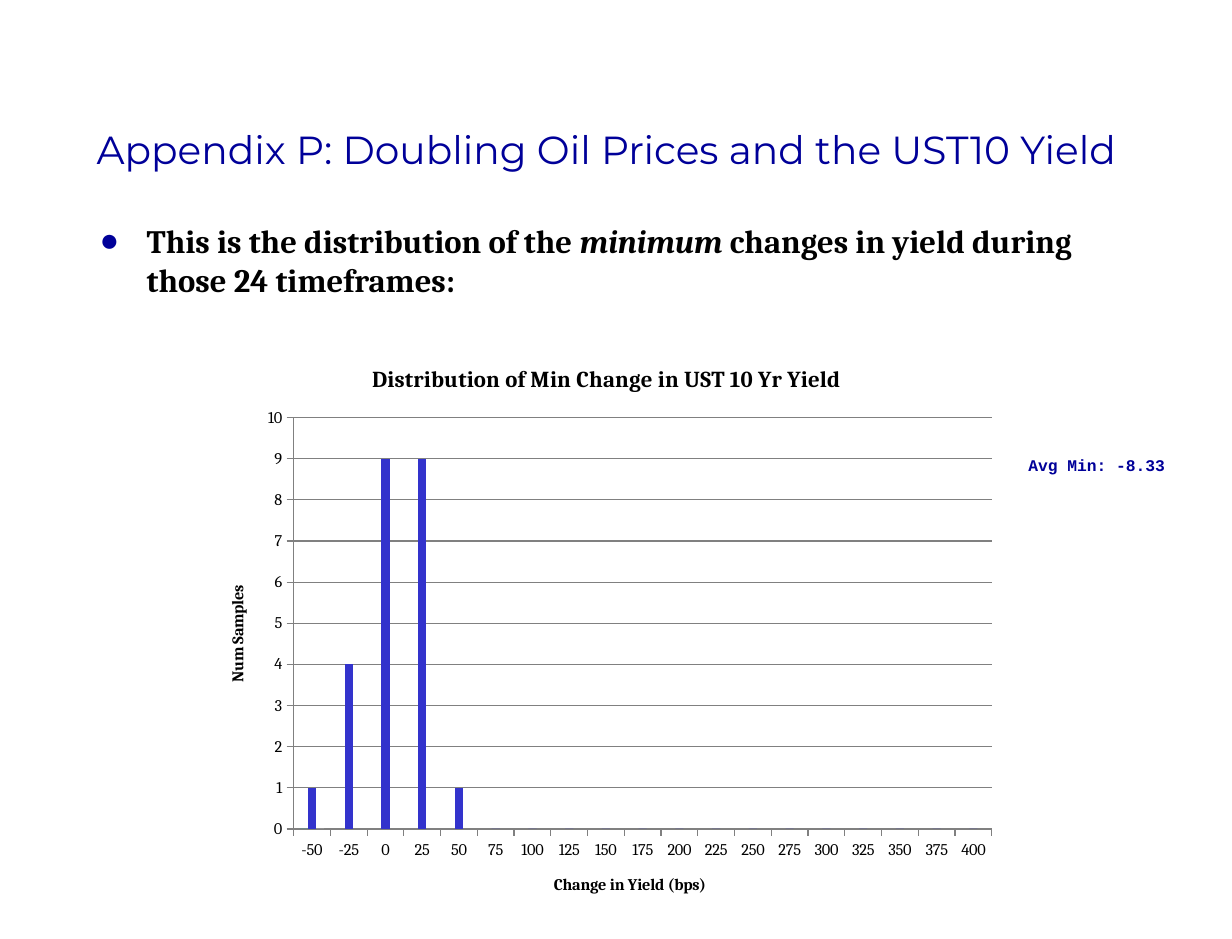
from lxml.etree import SubElement
from pptx import Presentation
from pptx.chart.data import CategoryChartData
from pptx.dml.color import RGBColor
from pptx.enum.chart import XL_CHART_TYPE as ChartType, XL_TICK_MARK as TickMark
from pptx.enum.text import MSO_ANCHOR as Anchor, MSO_AUTO_SIZE as AutoSize, PP_ALIGN as Align
from pptx.oxml import parse_xml
from pptx.oxml.ns import nsdecls, qn
from pptx.util import Pt

COLORS = {
    "navy": "000099",
    "black": "000000",
    "white": "FFFFFF",
    "grid": "808080",
    "teal": "00CC99",
    "blue": "3333CC",
}
SERIF = "Cambria"
COUNTS = [1, 4, 9, 9, 1] + [0] * 14
PLOT_AREA = {"x": 0.11, "y": 0.13, "w": 0.87, "h": 0.71}


def color(name):
    """Return a named colour."""
    return RGBColor.from_string(COLORS[name])


def style_font(font, name, size, shade, bold=False):
    """Set the face, size, colour and weight of a font."""
    font.name, font.size, font.bold = name, Pt(size), bold
    font.color.rgb = color(shade)


def place(shape, left, top, width, height):
    """Move and size a shape in points."""
    shape.left, shape.top = Pt(left), Pt(top)
    shape.width, shape.height = Pt(width), Pt(height)


def fill_title(title, text):
    """Format the title placeholder."""
    place(title, 18, 48, 708, 90)
    title.fill.solid()
    title.fill.fore_color.rgb = color("white")
    frame = title.text_frame
    frame.auto_size, frame.vertical_anchor = AutoSize.NONE, Anchor.MIDDLE
    frame.text = text
    para = frame.paragraphs[0]
    para.alignment, para.line_spacing = Align.CENTER, 0.95
    style_font(para.font, "Montserrat", 24, "navy")


def fill_body(body, pieces):
    """Write one bulleted paragraph of (text, italic) pieces."""
    place(body, 54, 132, 612, 348)
    frame = body.text_frame
    frame.auto_size = AutoSize.NONE
    para = frame.paragraphs[0]
    props = para._p.get_or_add_pPr()
    props.set("marL", str(Pt(28.8)))
    props.set("indent", str(Pt(-28.8)))
    bullet_color = SubElement(props, qn("a:buClr"))
    SubElement(bullet_color, qn("a:srgbClr"), val=COLORS["navy"])
    SubElement(props, qn("a:buChar"), char="●")
    para.space_before = Pt(0)
    style_font(para.font, SERIF, 20, "black", True)
    for text, italic in pieces:
        span = para.add_run()
        span.text = text
        span.font.italic = italic


def add_label(page, text):
    """Add the note beside the chart."""
    box = page.shapes.add_textbox(Pt(624), Pt(276), Pt(132), Pt(19.5))
    frame = box.text_frame
    frame.word_wrap = True
    frame.text = text
    style_font(frame.paragraphs[0].font, "Courier New", 10, "navy", True)


def write_heading(owner, text, size):
    """Give a chart or an axis a bold title."""
    owner.has_title = True
    frame = (owner.chart_title if hasattr(owner, "chart_title") else owner.axis_title).text_frame
    frame.text = text
    style_font(frame.paragraphs[0].font, SERIF, size, "black", True)


def set_plot_area(chart):
    """Fix the inner plot area as fractions of the chart."""
    area = chart._chartSpace.chart.plotArea
    for old in area.findall(qn("c:layout")):
        area.remove(old)
    layout = parse_xml(f"<c:layout {nsdecls('c')}/>")
    manual = SubElement(layout, qn("c:manualLayout"))
    SubElement(manual, qn("c:layoutTarget"), val="inner")
    for side in "xy":
        SubElement(manual, qn(f"c:{side}Mode"), val="edge")
    for key, share in PLOT_AREA.items():
        SubElement(manual, qn(f"c:{key}"), val=str(share))
    area.insert(0, layout)


def add_histogram(page):
    """Add the column chart of yield changes."""
    data = CategoryChartData()
    data.categories = [str(change) for change in range(-50, 401, 25)]
    data.add_series("Series 1", [0])
    data.add_series("Series 2", COUNTS)
    data.add_series("Series 3", [0])
    chart = page.shapes.add_chart(
        ChartType.COLUMN_CLUSTERED, Pt(126), Pt(210), Pt(492.5), Pt(355.5), data
    ).chart
    style_font(chart.font, SERIF, 10, "black")
    chart.has_legend = False
    write_heading(chart, "Distribution of Min Change in UST 10 Yr Yield", 14)
    plot = chart.plots[0]
    plot.gap_width, plot.overlap, plot.vary_by_categories = 150, 0, False
    for series, shade in zip(plot.series, ("teal", "blue", "white")):
        series.format.fill.solid()
        series.format.fill.fore_color.rgb = color(shade)
    counts = chart.value_axis
    for axis, text in ((chart.category_axis, "Change in Yield (bps)"), (counts, "Num Samples")):
        write_heading(axis, text, 10)
        axis.major_tick_mark, axis.minor_tick_mark = TickMark.OUTSIDE, TickMark.NONE
        axis.format.line.color.rgb = color("grid")
    counts.minimum_scale, counts.maximum_scale, counts.major_unit = 0, 10, 1
    counts.has_major_gridlines = True
    counts.major_gridlines.format.line.color.rgb = color("grid")
    set_plot_area(chart)


def main():
    """Build and save the slide."""
    deck = Presentation()
    deck.slide_width, deck.slide_height = Pt(756), Pt(576)
    page = deck.slides.add_slide(deck.slide_layouts[1])
    fill_title(page.shapes.title, "Appendix P: Doubling Oil Prices and the UST10 Yield")
    fill_body(
        page.placeholders[1],
        [
            ("This is the distribution of the ", False),
            ("minimum", True),
            (" changes in yield during those 24 timeframes:", False),
        ],
    )
    add_label(page, "Avg Min: -8.33")
    add_histogram(page)
    deck.save("out.pptx")


if __name__ == "__main__":
    main()
